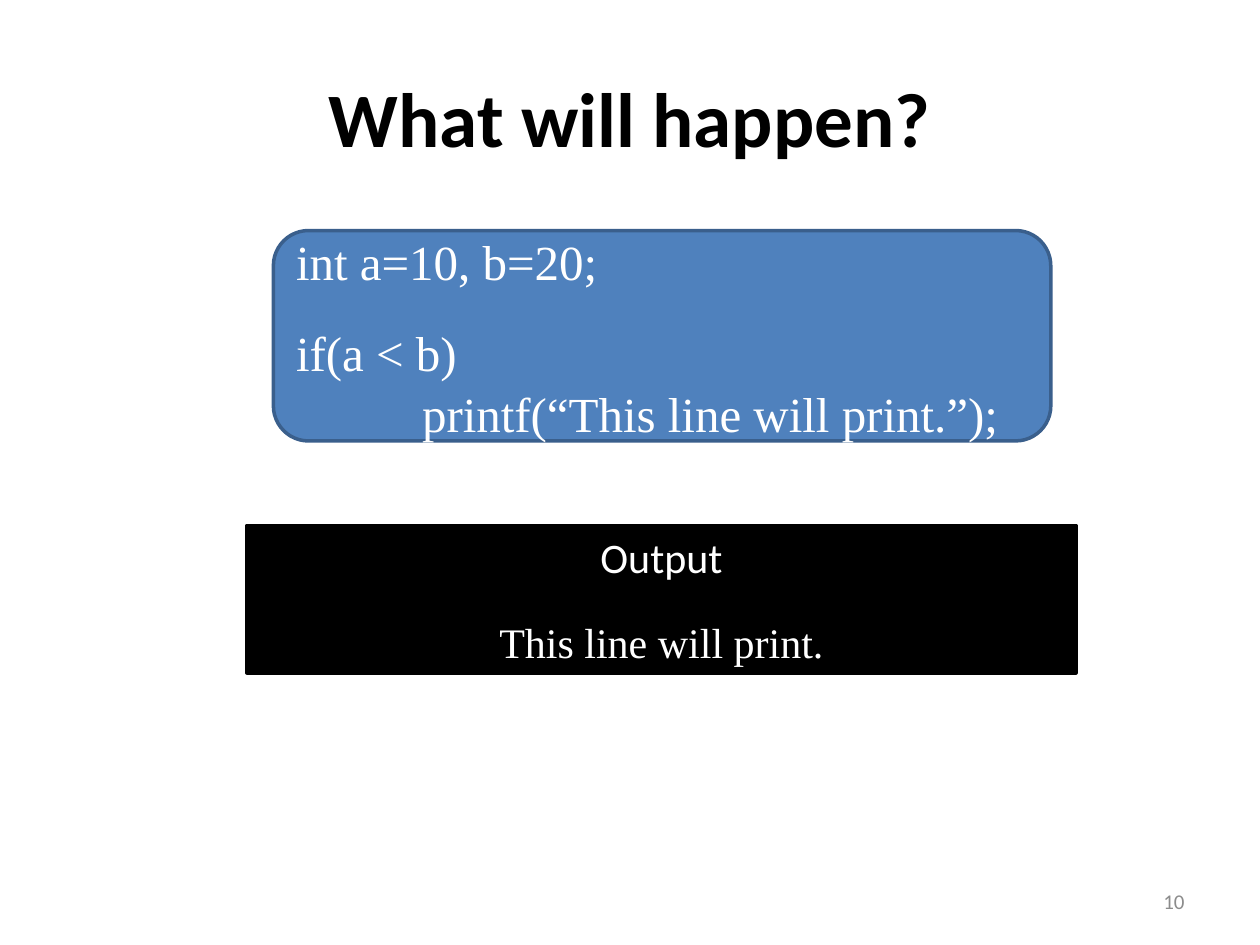
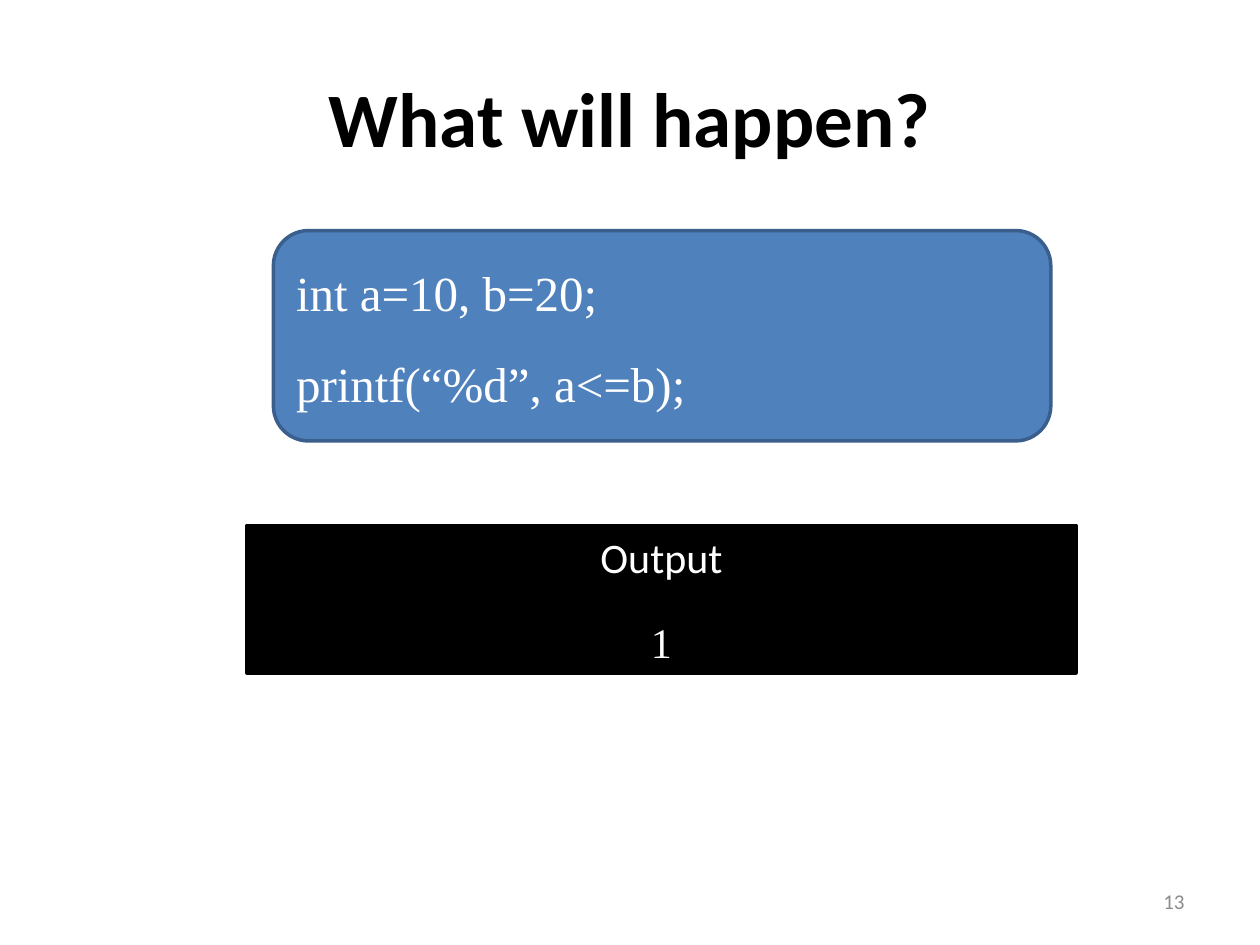
from pptx import Presentation
from pptx.dml.color import RGBColor as RGB
from pptx.enum.shapes import MSO_SHAPE as Shape
from pptx.enum.text import MSO_ANCHOR as Anchor, PP_ALIGN as Align
from pptx.util import Inches, Pt

COLORS = {"ink": "000000", "paper": "FFFFFF", "code": "4F81BD",
          "edge": "3A5F8C", "page": "8C8C8C"}
SANS, SERIF = "Calibri", "Times New Roman"
TITLE = "What will happen?"
QUIZ = [
    (["int a=10, b=20;", "if(a < b)", "\tprintf(“This line will print.”);"],
     "This line will print.", "10"),
    (["int a=10, b=20;", "printf(“%d”, a<=b);"], "1", "13"),
]


class Deck:
    """Holds the shared style and the current slide."""

    def __init__(self):
        self.prs = Presentation()
        self.prs.slide_width, self.prs.slide_height = Inches(10), Inches(7.5)

    def color(self, name):
        return RGB.from_string(COLORS[name])

    def place(self, item, box):
        item.left, item.top, item.width, item.height = map(Inches, box)

    def text(self, frame, lines, size, hue, align):
        frame.word_wrap = True
        frame.vertical_anchor = Anchor.MIDDLE
        for i, (words, face, gap) in enumerate(lines):
            para = frame.add_paragraph() if i else frame.paragraphs[0]
            para.alignment = align
            para.space_before = Pt(gap)
            run = para.add_run()
            run.text = words
            run.font.name, run.font.size = face, Pt(size)
            run.font.color.rgb = self.color(hue)

    def title(self, words):
        self.slide = self.prs.slides.add_slide(self.prs.slide_layouts[5])
        head = self.slide.shapes.title
        self.place(head, (0.5, 0.3, 9, 1.25))
        self.text(head.text_frame, [(words, SANS, 0)], 44, "ink", Align.CENTER)
        head.text_frame.paragraphs[0].runs[0].font.bold = True

    def panel(self, kind, box, fill, edge):
        item = self.slide.shapes.add_shape(kind, *map(Inches, box))
        item.shadow.inherit = False
        item.fill.solid()
        item.fill.fore_color.rgb = self.color(fill)
        item.line.color.rgb = self.color(edge)
        item.line.width = Pt(2)
        return item.text_frame

    def code(self, lines):
        frame = self.panel(Shape.ROUNDED_RECTANGLE, (2.17, 1.83, 6.17, 1.67), "code", "edge")
        rows = [(words, SERIF, 16.5 if i == 1 else 0) for i, words in enumerate(lines)]
        self.text(frame, rows, 28, "paper", Align.LEFT)
        for para in frame.paragraphs:
            para.line_spacing = 1.05
            para._p.get_or_add_pPr().set("defTabSz", str(Inches(1)))

    def output(self, words):
        frame = self.panel(Shape.RECTANGLE, (1.96, 4.17, 6.58, 1.17), "ink", "ink")
        rows = [("Output", SANS, 0), (words, SERIF, 20)]
        self.text(frame, rows, 24, "paper", Align.CENTER)

    def page(self, words):
        box = map(Inches, (7.17, 6.95, 2.33, 0.4))
        frame = self.slide.shapes.add_textbox(*box).text_frame
        self.text(frame, [(words, SANS, 0)], 12, "page", Align.RIGHT)


def main():
    deck = Deck()
    for lines, result, num in QUIZ:
        deck.title(TITLE)
        deck.code(lines)
        deck.output(result)
        deck.page(num)
    deck.prs.save("out.pptx")


if __name__ == "__main__":
    main()
